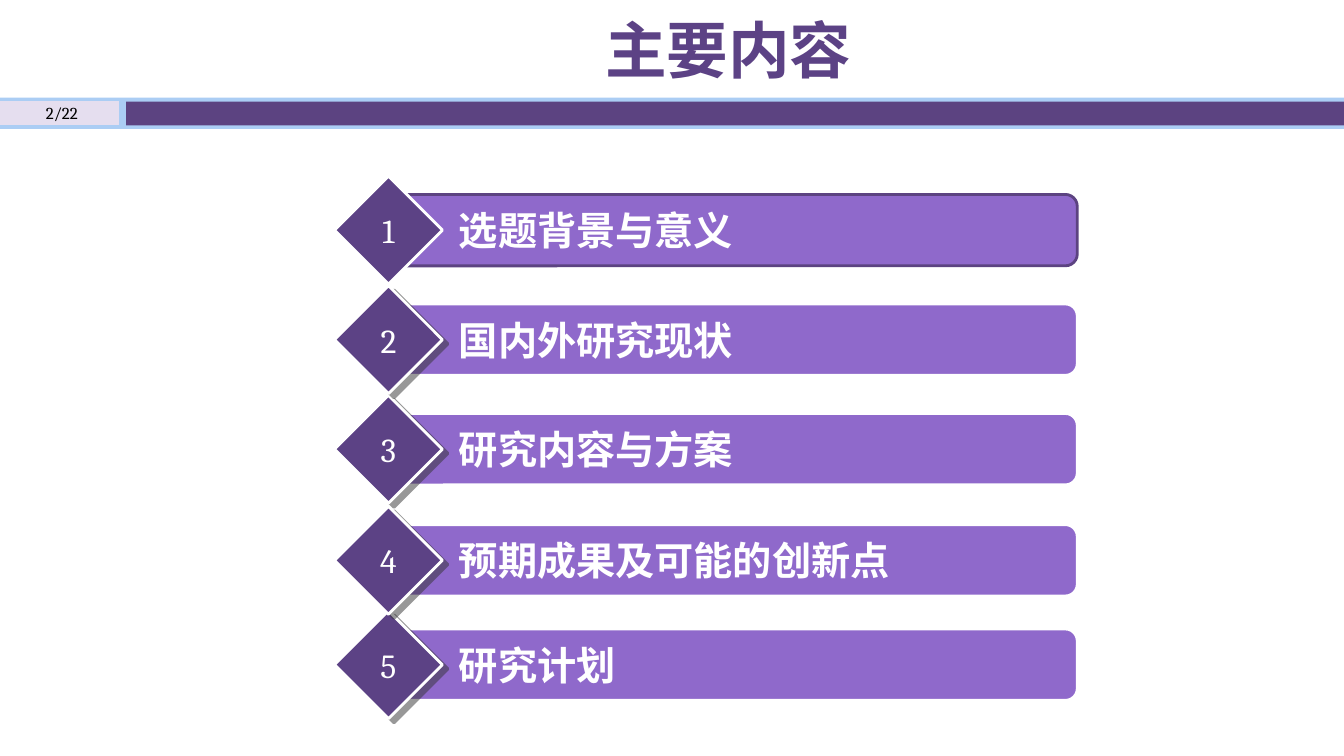
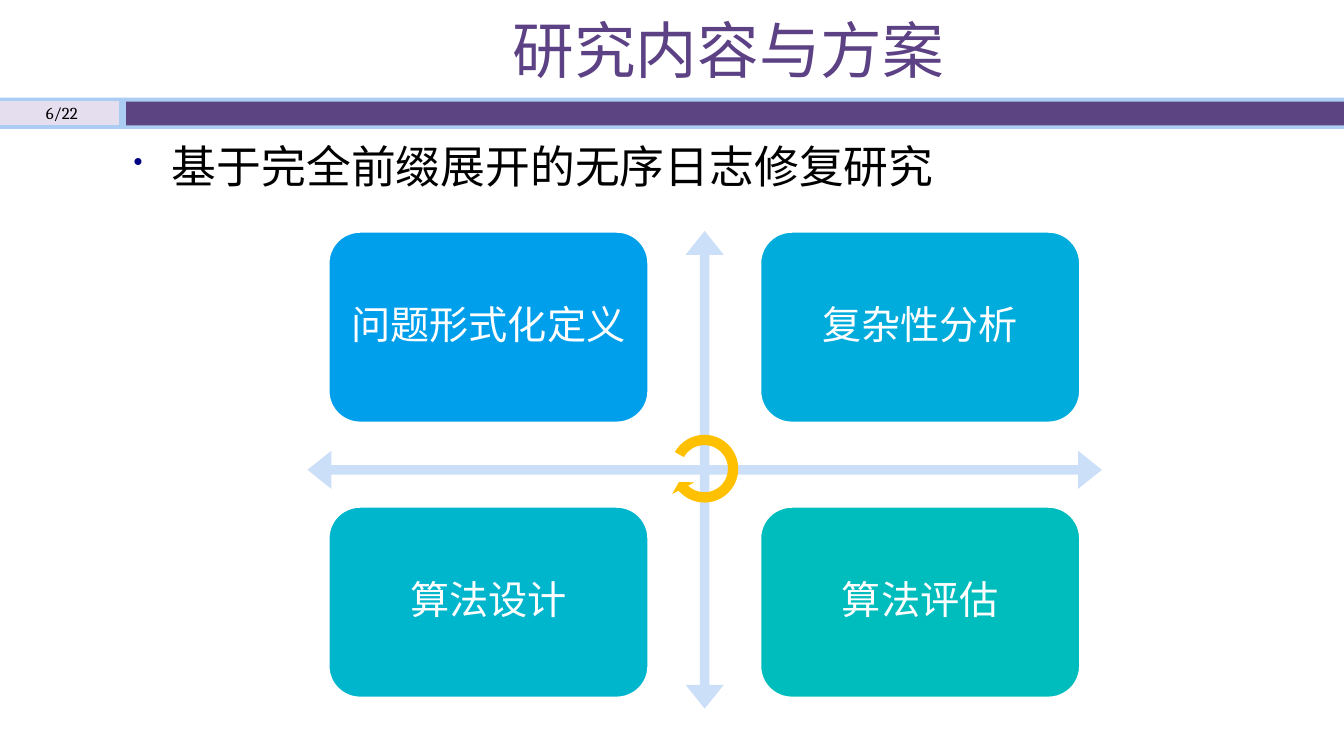
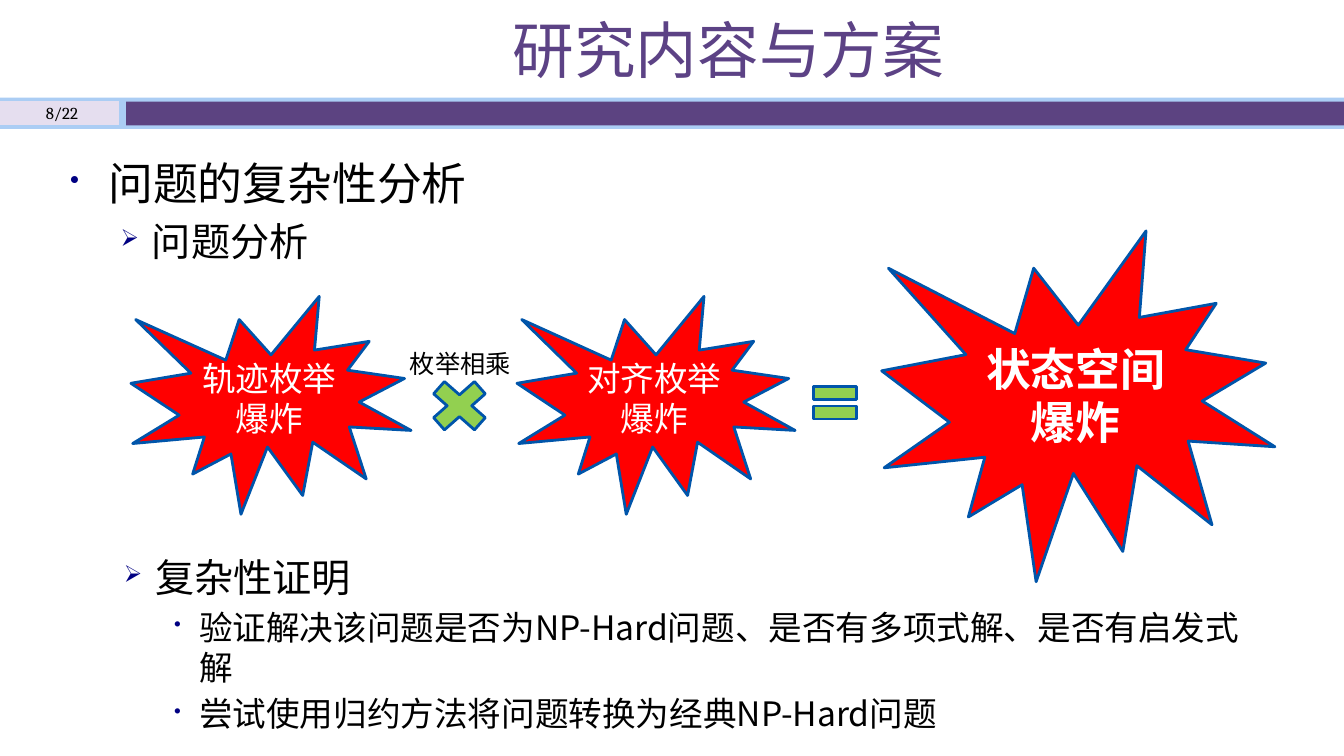
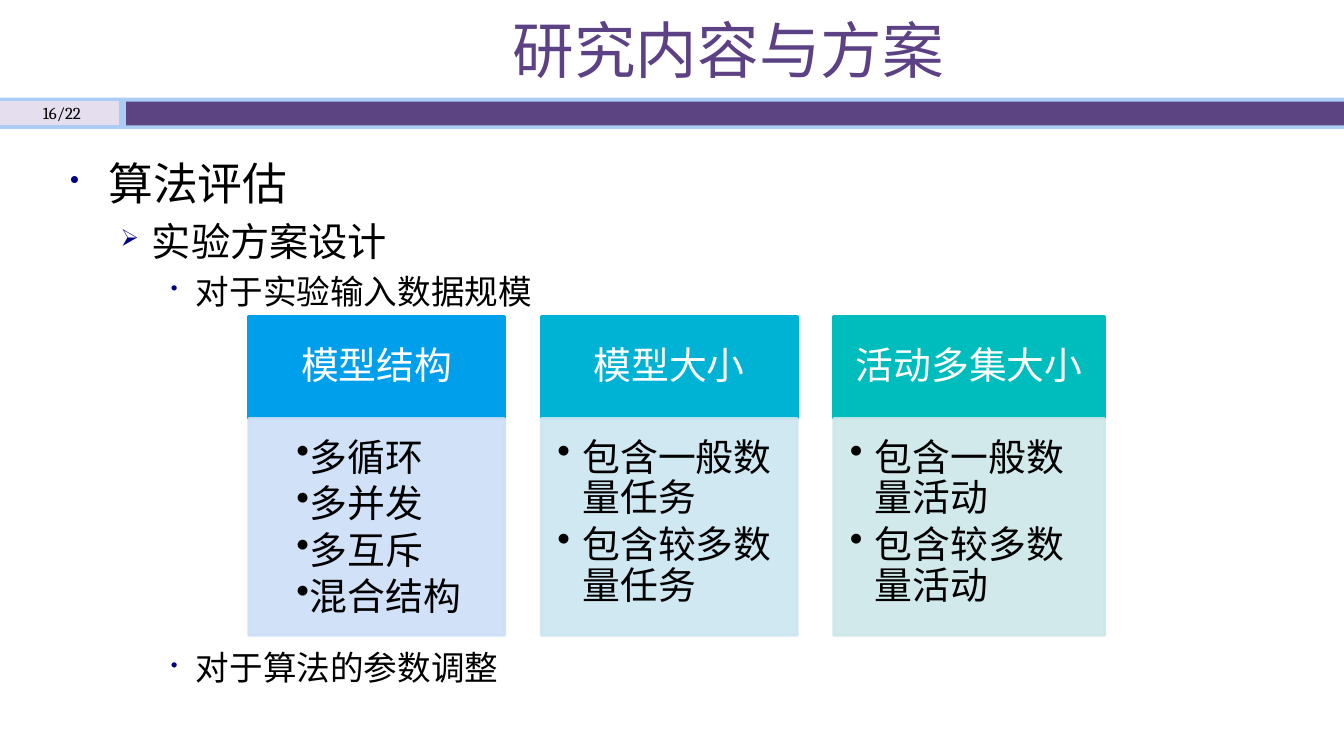
import pptx
import pptx.util
import pptx.dml.color
import pptx.enum.shapes
import pptx.enum.text
import pptx.oxml
import pptx.oxml.ns

Cm = pptx.util.Cm
Pt = pptx.util.Pt
RGB = pptx.dml.color.RGBColor
KIND = pptx.enum.shapes.MSO_SHAPE
ALIGN = pptx.enum.text.PP_ALIGN
ANCHOR = pptx.enum.text.MSO_ANCHOR

WHITE = RGB(0xFF, 0xFF, 0xFF)
BLACK = RGB(0, 0, 0)
PLUM = RGB(0x5C, 0x43, 0x81)
GEM = RGB(0x5C, 0x42, 0x85)
LILAC = RGB(0x8F, 0x69, 0xCB)
PALE = RGB(0xE5, 0xDE, 0xEF)
SKY = RGB(0xAB, 0xCD, 0xF4)
MIST = RGB(0xCC, 0xDF, 0xF8)
BLUE = RGB(0x00, 0x9F, 0xEC)
AZURE = RGB(0x00, 0xAC, 0xDC)
CYAN = RGB(0x00, 0xB6, 0xCD)
LAGOON = RGB(0x00, 0xB2, 0xD4)
TEAL = RGB(0x00, 0xBD, 0xBD)
ICE = RGB(0xCB, 0xE6, 0xF0)
MINT = RGB(0xCC, 0xE7, 0xE8)
GOLD = RGB(0xFF, 0xC0, 0x00)
RED = RGB(0xFF, 0, 0)
GREEN = RGB(0x92, 0xD0, 0x50)
EDGE = RGB(0x00, 0x55, 0xAA)
NAVY = RGB(0, 0, 0x82)

SANS, HEAD, SERIF = "Noto Sans CJK SC", "Calibri", "Cambria"
LEAD = 1.19
TOTAL = 22
TOPIC = "研究内容与方案"

# left, top, width, height, colour
BANDS = [
    (0, 2.46, 33.87, 0.79, SKY),
    (0, 2.55, 3, 0.6, PALE),
    (3.18, 2.56, 30.69, 0.6, PLUM),
]
# size, left margin, hanging indent, mark
LEVELS = [(32, 0.96, -0.96, "•"), (28, 2.06, -0.79, "➢"), (24, 3.17, -0.63, "•")]

# text, top of its bar
AGENDA = [
    ("选题背景与意义", 4.9),
    ("国内外研究现状", 7.66),
    ("研究内容与方案", 10.42),
    ("预期成果及可能的创新点", 13.22),
    ("研究计划", 15.85),
]
STEPS = [("问题形式化定义", BLUE), ("复杂性分析", AZURE),
         ("算法设计", CYAN), ("算法评估", TEAL)]
BURSTS = [
    ("轨迹枚举爆炸", 3.3, 7.47, 7.06, 5.49, 24, False),
    ("对齐枚举爆炸", 13.03, 7.47, 7.01, 5.49, 24, False),
    ("状态空间爆炸", 22.22, 5.82, 9.91, 8.84, 32, True),
]
SIGNS = [
    (KIND.MATH_MULTIPLY, 10.59, 9.35, 1.98, 1.75),
    (KIND.MATH_EQUAL, 20.32, 9.45, 1.45, 1.4),
]
# heading, its colour, body colour, width, left margin, indent, items
CARDS = [
    ("模型结构", BLUE, MIST, 6.45, 0.79, 0,
     ["多循环", "多并发", "多互斥", "混合结构"]),
    ("模型大小", LAGOON, ICE, 6.45, 0.63, -0.63,
     ["包含一般数量任务", "包含较多数量任务"]),
    ("活动多集大小", TEAL, MINT, 6.83, 0.63, -0.63,
     ["包含一般数量活动", "包含较多数量活动"]),
]


def node(tag, **attrs):
    item = pptx.oxml.parse_xml(f"<a:{tag} {pptx.oxml.ns.nsdecls('a')}/>")
    for key, val in attrs.items():
        item.set(key, str(val))
    return item


def shape(slide, kind, at, fill, line=None, adjust=()):
    """Add a preset shape; at is left, top, width, height in cm."""
    item = slide.shapes.add_shape(kind, *map(Cm, at))
    item.shadow.inherit = False
    item.fill.solid()
    item.fill.fore_color.rgb = fill
    if line is None:
        item.line.fill.background()
    else:
        item.line.color.rgb = line
        item.line.width = Pt(2)
    for i, val in enumerate(adjust):
        item.adjustments[i] = val
    return item


def fade(item, part):
    """Make fill and line partly transparent."""
    for tint in item._element.spPr.iter(pptx.oxml.ns.qn("a:srgbClr")):
        tint.append(node("alpha", val=part * 1000))


def cast(item):
    """Give the shape a hard grey shadow."""
    tint = node("srgbClr", val="333333")
    tint.append(node("alpha", val=50000))
    shade = node("outerShdw", dist=Pt(5), dir=37 * 60000, algn="ctr", rotWithShape=0)
    shade.append(tint)
    item._element.spPr.find(pptx.oxml.ns.qn("a:effectLst")).append(shade)


def frame(item, inset=(0, 0, 0, 0), anchor=ANCHOR.MIDDLE):
    """Set up the text frame; inset is left, top, right, bottom in cm."""
    text = item.text_frame
    text.word_wrap = True
    text.vertical_anchor = anchor
    (text.margin_left, text.margin_top,
     text.margin_right, text.margin_bottom) = map(Cm, inset)
    return text


def put(para, words, size, color, font=SANS, bold=False, align=ALIGN.CENTER):
    para.alignment = align
    run = para.add_run()
    run.text = words
    run.font.size = Pt(size)
    run.font.bold = bold
    run.font.color.rgb = color
    run.font.name = font
    run._r.get_or_add_rPr().append(node("ea", typeface=SANS))


def label(item, words, size, color=WHITE, inset=(0, 0, 0, 0), **style):
    para = frame(item, inset).paragraphs[0]
    put(para, words, size, color, **style)
    return para


def box(slide, *at):
    return slide.shapes.add_textbox(*map(Cm, at))


def mark(para, char, left, indent, color=None, scale=100):
    props = para._p.get_or_add_pPr()
    props.set("marL", str(Cm(left)))
    props.set("indent", str(Cm(indent)))
    if color is not None:
        tint = node("buClr")
        tint.append(node("srgbClr", val=color))
        props.append(tint)
    props.append(node("buSzPct", val=scale * 1000))
    props.append(node("buChar", char=char))


def each(text, items):
    """Yield a paragraph with each item, reusing the first empty one."""
    for i, item in enumerate(items):
        yield (text.add_paragraph() if i else text.paragraphs[0]), item


def outline(slide, left, top, height, items):
    """Add a bulleted list of (level, words)."""
    text = frame(box(slide, left, top, 30.48, height),
                 (0.25, 0.13, 0.25, 0.13), ANCHOR.TOP)
    for para, (level, words) in each(text, items):
        size, edge, indent, char = LEVELS[level]
        put(para, words, size, BLACK, align=ALIGN.LEFT)
        para.line_spacing = Pt(size * LEAD)
        if para._p is not text.paragraphs[0]._p:
            para.space_before = Pt(size * 0.2)
        mark(para, char, edge, indent, NAVY, 60)


def start(deck, title, page, bold=False):
    """Add a slide with bands, title and page number."""
    slide = deck.slides.add_slide(deck.slide_layouts[6])
    for *at, color in BANDS:
        shape(slide, KIND.RECTANGLE, at, color)
    label(box(slide, 3.12, 0.08, 30.48, 2.29), title, 44, GEM, font=HEAD, bold=bold)
    label(box(slide, 0, 2.44, 3.12, 0.79), f"{page}/{TOTAL}", 12, BLACK, font=SERIF)
    return slide


def agenda(deck):
    slide = start(deck, "主要内容", 2, bold=True)
    high, side = 1.8, 2.72
    for num, (words, top) in reversed(list(enumerate(AGENDA, 1))):
        first = num == 1
        bar = shape(slide, KIND.ROUNDED_RECTANGLE, (9.93, top, 17.22, high),
                    LILAC, PLUM if first else WHITE)
        label(bar, words, 28, inset=(1.55, 0, 0, 0), bold=True, align=ALIGN.LEFT)
        gem = shape(slide, KIND.DIAMOND,
                    (8.43, top + (high - side) / 2, side, side), GEM, WHITE)
        label(gem, str(num), 24, font=SERIF)
        if not first:
            cast(gem)


def matrix(deck):
    slide = start(deck, TOPIC, 6)
    outline(slide, 3.12, 3.37, 2.1, [(0, "基于完全前缀展开的无序日志修复研究")])
    shape(slide, KIND.QUAD_ARROW, (7.75, 5.82, 20.02, 12.04), MIST,
          adjust=(0.02, 0.04, 0.05))
    for i, (words, color) in enumerate(STEPS):
        row, col = divmod(i, 2)
        tile = shape(slide, KIND.ROUNDED_RECTANGLE,
                     (8.27 + 10.88 * col, 5.83 + 6.93 * row, 8.08, 4.83), color, WHITE)
        label(tile, words, 28).line_spacing = 0.9
    loop = shape(slide, KIND.CIRCULAR_ARROW, (16.71, 10.77, 2.08, 2.08), GOLD,
                 adjust=(0.125, 8.999, 204.577, 31.906, 0.152))
    loop.rotation = 156.3


def blast(deck):
    slide = start(deck, TOPIC, 8)
    outline(slide, 1.52, 3.81, 3.5, [(0, "问题的复杂性分析"), (1, "问题分析")])
    for words, *at, size, bold in BURSTS:
        burst = shape(slide, KIND.EXPLOSION1, at, RED, EDGE)
        para = label(burst, words, size, inset=(0.13, 0, 0.13, 0), bold=bold)
        para.line_spacing = Pt(size * LEAD)
    for kind, *at in SIGNS:
        shape(slide, kind, at, GREEN, EDGE)
    label(box(slide, 10.08, 8.64, 3.51, 1.02), "枚举相乘", 18, BLACK,
          inset=(0.25, 0, 0.25, 0), align=ALIGN.LEFT)
    outline(slide, 1.6, 13.82, 5.2, [
        (1, "复杂性证明"),
        (2, "验证解决该问题是否为NP-Hard问题、是否有多项式解、是否有启发式解"),
        (2, "尝试使用归约方法将问题转换为经典NP-Hard问题"),
    ])


def trial(deck):
    slide = start(deck, TOPIC, 16)
    outline(slide, 1.52, 3.81, 4.2, [
        (0, "算法评估"), (1, "实验方案设计"), (2, "对于实验输入数据规模")])
    size, top, high = 27, 7.98, 2.57
    for i, (name, color, tint, wide, edge, indent, items) in enumerate(CARDS):
        left = 6.27 + 7.37 * i
        head = shape(slide, KIND.RECTANGLE, (left, top, wide, high), color, color)
        label(head, name, size).line_spacing = 0.9
        body = shape(slide, KIND.RECTANGLE, (left, top + high, wide, 5.46), tint, tint)
        fade(body, 90)
        text = frame(body, (0.41, 0.48, 0.53, 0.4), ANCHOR.TOP)
        for para, words in each(text, items):
            put(para, words, size, BLACK, align=ALIGN.LEFT)
            para.line_spacing = Pt(size * LEAD * 0.91)
            para.space_after = Pt(size * 0.15)
            mark(para, "•", edge, indent)
    outline(slide, 1.52, 16.19, 1.6, [(2, "对于算法的参数调整")])


def main():
    deck = pptx.Presentation()
    deck.slide_width, deck.slide_height = Cm(33.87), Cm(19.05)
    for build in (agenda, matrix, blast, trial):
        build(deck)
    deck.save("out.pptx")


if __name__ == "__main__":
    main()
